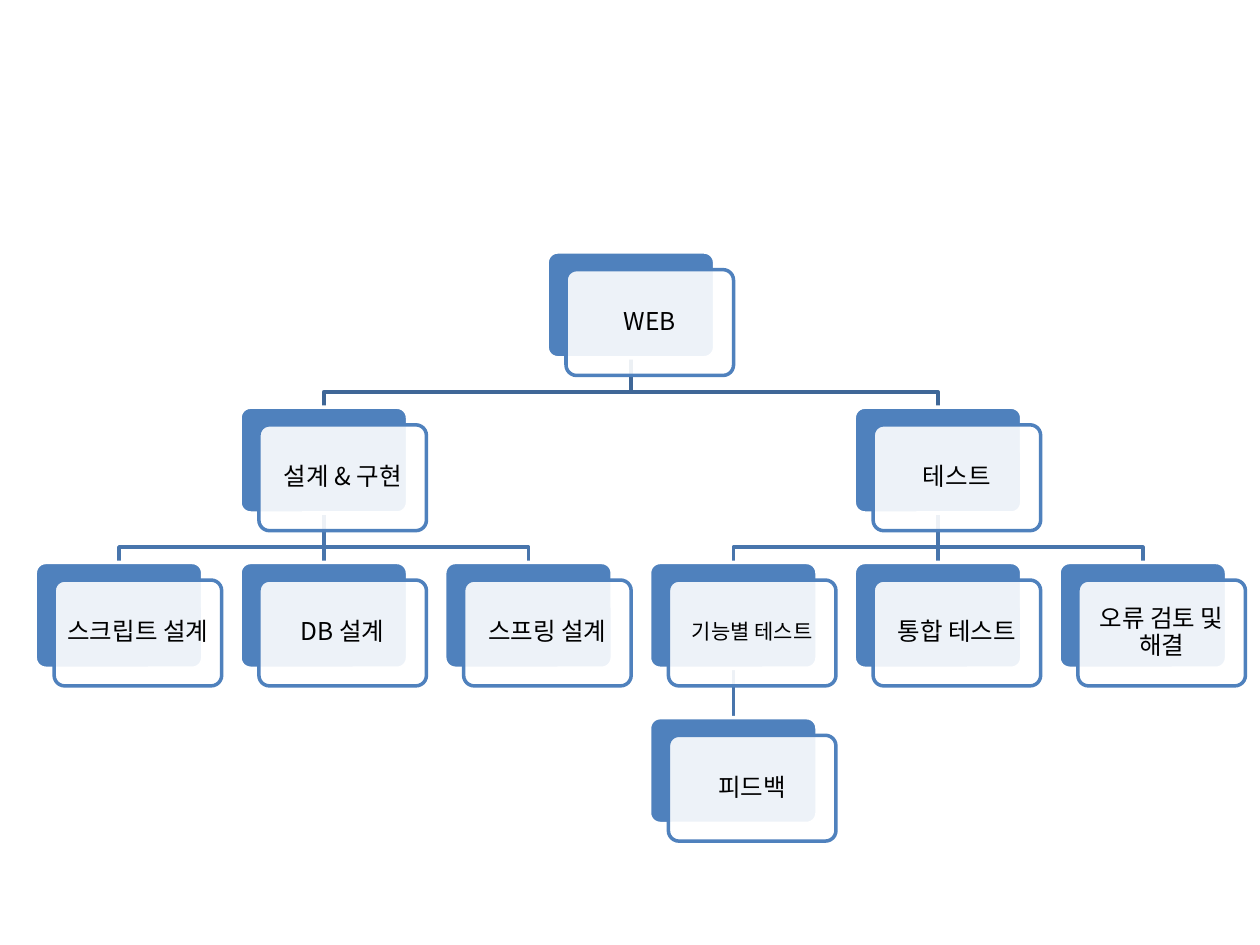
"""Build a slide with an organisation chart of web project tasks."""
from dataclasses import dataclass
from typing import Optional

import lxml.etree
import pptx
import pptx.dml.color
import pptx.enum.shapes
import pptx.enum.text
import pptx.oxml.ns
import pptx.util

Inches = pptx.util.Inches
Pt = pptx.util.Pt
qn = pptx.oxml.ns.qn

FONT = "Noto Sans CJK KR"
BLUE = "4F81BD"
WHITE = "FFFFFF"
LEFT, TOP = 0.28, 2.0
COL_STEP, ROW_STEP = 1.625, 1.232
BOX_W, BOX_H = 1.33, 0.84
SHIFT_X, SHIFT_Y = 0.15, 0.14
TRUNK = 0.26


@dataclass
class Node:
    """A box of the chart at a grid position."""

    text: str
    col: float
    row: int
    parent: Optional["Node"] = None
    size: int = 14
    inset: float = 0.06

    @property
    def left(self) -> float:
        """Left edge in inches."""
        return LEFT + self.col * COL_STEP

    @property
    def top(self) -> float:
        """Top edge in inches."""
        return TOP + self.row * ROW_STEP

    @property
    def center(self) -> float:
        """Horizontal centre in inches."""
        return self.left + BOX_W / 2


def rgb(value: str) -> pptx.dml.color.RGBColor:
    """Turn a hex string into a colour."""
    return pptx.dml.color.RGBColor.from_string(value)


def style_link(s, color: str) -> None:
    """Give a link its line."""
    s.line.color.rgb = rgb(color)
    s.line.width = Pt(2)


def draw_link(shapes, node: Node) -> None:
    """Draw the line from the parent down to a node."""
    parent = node.parent
    color = "3F6797" if node.row == 1 else "4875AC"
    x1, x2 = Inches(parent.center), Inches(node.center)
    y1, y2 = Inches(parent.top + BOX_H + 0.01), Inches(node.top)
    if x1 == x2:
        s = shapes.add_connector(pptx.enum.shapes.MSO_CONNECTOR.STRAIGHT, x1, y1, x2, y2)
        lxml.etree.SubElement(s._element.spPr, qn("a:effectLst"))
    else:
        turn = y1 + Inches(TRUNK)
        builder = shapes.build_freeform(x1, y1)
        builder.add_line_segments([(x1, turn), (x2, turn), (x2, y2)], close=False)
        s = builder.convert_to_shape()
        s.fill.background()
        s.shadow.inherit = False
    style_link(s, color)


def draw_box(shapes, left: float, top: float, fill: str, line: str):
    """Draw one rounded box."""
    s = shapes.add_shape(
        pptx.enum.shapes.MSO_SHAPE.ROUNDED_RECTANGLE,
        Inches(left), Inches(top), Inches(BOX_W), Inches(BOX_H),
    )
    s.adjustments[0] = 0.1
    s.shadow.inherit = False
    s.fill.solid()
    s.fill.fore_color.rgb = rgb(fill)
    s.line.color.rgb = rgb(line)
    s.line.width = Pt(2)
    return s


def draw_node(shapes, node: Node) -> None:
    """Draw the blue box and the translucent card with its text."""
    draw_box(shapes, node.left, node.top, BLUE, WHITE)
    s = draw_box(shapes, node.left + SHIFT_X, node.top + SHIFT_Y, WHITE, BLUE)
    fill_color = s._element.spPr.find(qn("a:solidFill")).find(qn("a:srgbClr"))
    lxml.etree.SubElement(fill_color, qn("a:alpha"), val="90000")
    tf = s.text_frame
    tf.word_wrap = True
    tf.vertical_anchor = pptx.enum.text.MSO_ANCHOR.MIDDLE
    tf.margin_left = tf.margin_right = Inches(node.inset)
    tf.margin_top = tf.margin_bottom = Inches(node.inset)
    p = tf.paragraphs[0]
    p.text = node.text
    p.alignment = pptx.enum.text.PP_ALIGN.CENTER
    p.line_spacing = 0.9
    p.space_after = Pt(node.size * 0.35)
    p.font.size = Pt(node.size)
    p.font.name = FONT
    p.font.color.rgb = rgb("000000")
    props = p._p.pPr.find(qn("a:defRPr"))
    lxml.etree.SubElement(props, qn("a:ea"), typeface=FONT)


def main() -> None:
    """Build and save the slide."""
    web = Node("WEB", 2.905, 0)
    web.col = 2.5
    design = Node("설계 & 구현", 1, 1, web)
    test = Node("테스트", 4, 1, web)
    feature = Node("기능별 테스트", 3, 2, test, 12, 0.05)
    nodes = [
        web,
        design,
        Node("스크립트 설계", 0, 2, design),
        Node("DB 설계", 1, 2, design),
        Node("스프링 설계", 2, 2, design),
        test,
        feature,
        Node("피드백", 3, 3, feature),
        Node("통합 테스트", 4, 2, test),
        Node("오류 검토 및 해결", 5, 2, test),
    ]
    prs = pptx.Presentation()
    prs.slide_width, prs.slide_height = Inches(10), Inches(7.5)
    shapes = prs.slides.add_slide(prs.slide_layouts[6]).shapes
    for node in nodes:
        if node.parent:
            draw_link(shapes, node)
    for node in nodes:
        draw_node(shapes, node)
    prs.save("out.pptx")


main()
